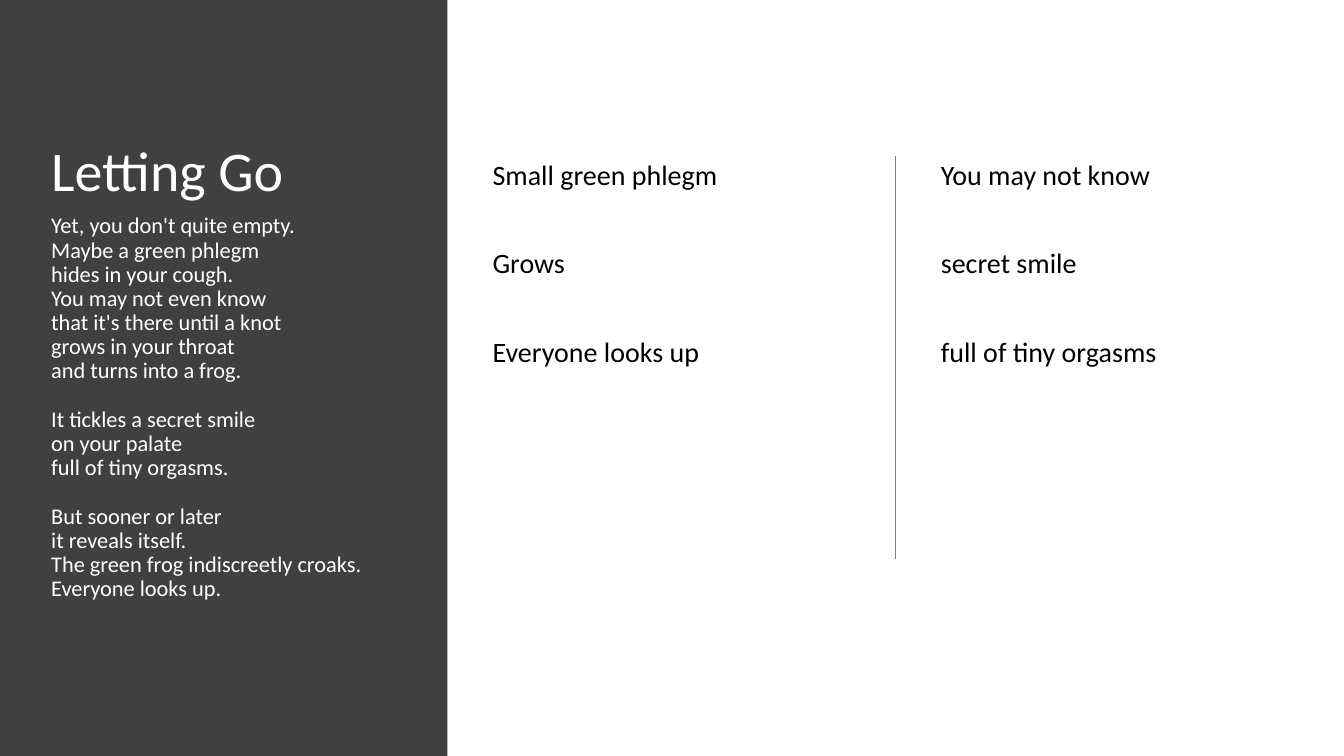
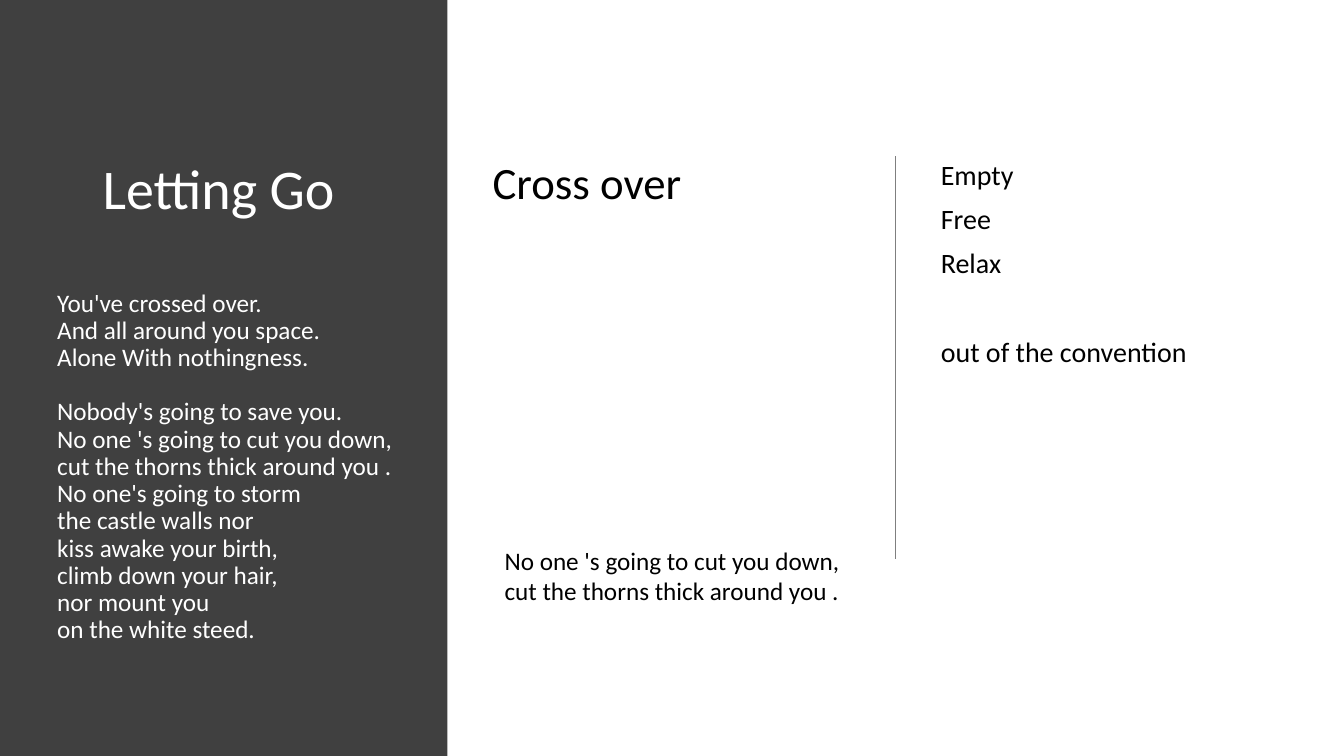
"""Build two poem slides with a dark side panel and a ruled two-column area."""
from lxml import etree
from pptx import Presentation
from pptx import util as u
from pptx.dml.color import RGBColor
from pptx.enum import shapes, text
from pptx.oxml.ns import qn

FONT, WHITE, BLACK, PANEL, RULE = "Calibri", "FFFFFF", "000000", "404040", "7F7F7F"
TOP, BOTTOM = 111.6, 399.6
LEFT_COL, RULE_X, RIGHT_COL = 344.9, 640, 665.3
GAP, WIDE_GAP = 10, 41.6


def rgb(value):
    return RGBColor.from_string(value)


def add_text(s, box, paras, size, color=BLACK, gap=0, spacing=0.9):
    sp = s.shapes.add_textbox(*[u.Pt(v) for v in box])
    tf = sp.text_frame
    tf.word_wrap = True
    tf.vertical_anchor = text.MSO_ANCHOR.TOP
    tf.text = "\n".join(paras)
    for i, p in enumerate(tf.paragraphs):
        p.line_spacing = spacing
        p.space_before = u.Pt(gap if i else 0)
        for r in p.runs:
            r.font.name = FONT
            r.font.size = u.Pt(size)
            r.font.color.rgb = rgb(color)
    return tf


prs = Presentation()
prs.slide_width, prs.slide_height = u.Pt(960.48), u.Pt(540)

slides = []
for title_x, title_y in ((29.5, 98.6), (66.2, TOP)):
    s = prs.slides.add_slide(prs.slide_layouts[6])
    sp = s.shapes.add_shape(shapes.MSO_SHAPE.RECTANGLE, 0, 0, u.Pt(319.7), prs.slide_height)
    sp.shadow.inherit = False
    sp.fill.solid()
    sp.fill.fore_color.rgb = rgb(PANEL)
    sp.line.fill.background()
    rule = s.shapes.add_connector(shapes.MSO_CONNECTOR.STRAIGHT,
                                  u.Pt(RULE_X), u.Pt(TOP), u.Pt(RULE_X), u.Pt(BOTTOM))
    rule.line.color.rgb = rgb(RULE)
    rule.line.width = u.Pt(1)
    etree.SubElement(rule._element.spPr, qn("a:effectLst"))
    add_text(s, (title_x, title_y, 228, 69), ["Letting Go"], 40, WHITE)
    slides.append(s)

s = slides[0]
stanzas = [
    "Yet, you don't quite empty.\vMaybe a green phlegm\vhides in your cough.\v"
    "You may not even know\vthat it's there until a knot\vgrows in your throat\v"
    "and turns into a frog.",
    "It tickles a secret smile\von your palate\vfull of tiny orgasms.",
    "But sooner or later\vit reveals itself.\vThe green frog indiscreetly croaks.\v"
    "Everyone looks up.",
]
add_text(s, (29.5, 149.8, 260.6, 327), stanzas, 16, WHITE, 17.3)
add_text(s, (LEFT_COL, TOP, 270, 343),
         ["Small green phlegm", "Grows", "Everyone looks up"], 20, gap=WIDE_GAP)
add_text(s, (RIGHT_COL, TOP, 252, 343),
         ["You may not know", "secret smile", "full of tiny orgasms"], 20, gap=WIDE_GAP)

s = slides[1]
stanzas = [
    "You've crossed over.\vAnd all around you space.\vAlone With nothingness.",
    "Nobody's going to save you.\vNo one 's going to cut you down,\v"
    "cut the thorns thick around you .\vNo one's going to storm\v"
    "the castle walls nor\vkiss awake your birth,\vclimb down your hair,\v"
    "nor mount you\von the white steed.",
]
add_text(s, (33.8, 203.8, 260.6, 322), stanzas, 18, WHITE, 19.4)
add_text(s, (LEFT_COL, TOP, 270, 74), ["Cross over"], 32)
tf = add_text(s, (RIGHT_COL, TOP, 252, 343),
              ["Empty", "Free", "Relax", "out of the convention"], 20, gap=GAP)
tf.paragraphs[-1].space_before = u.Pt(WIDE_GAP)
add_text(s, (353.5, 386, 265.7, 50.4),
         ["No one 's going to cut you down,\vcut the thorns thick around you ."],
         18, spacing=1.0)

prs.save("out.pptx")
